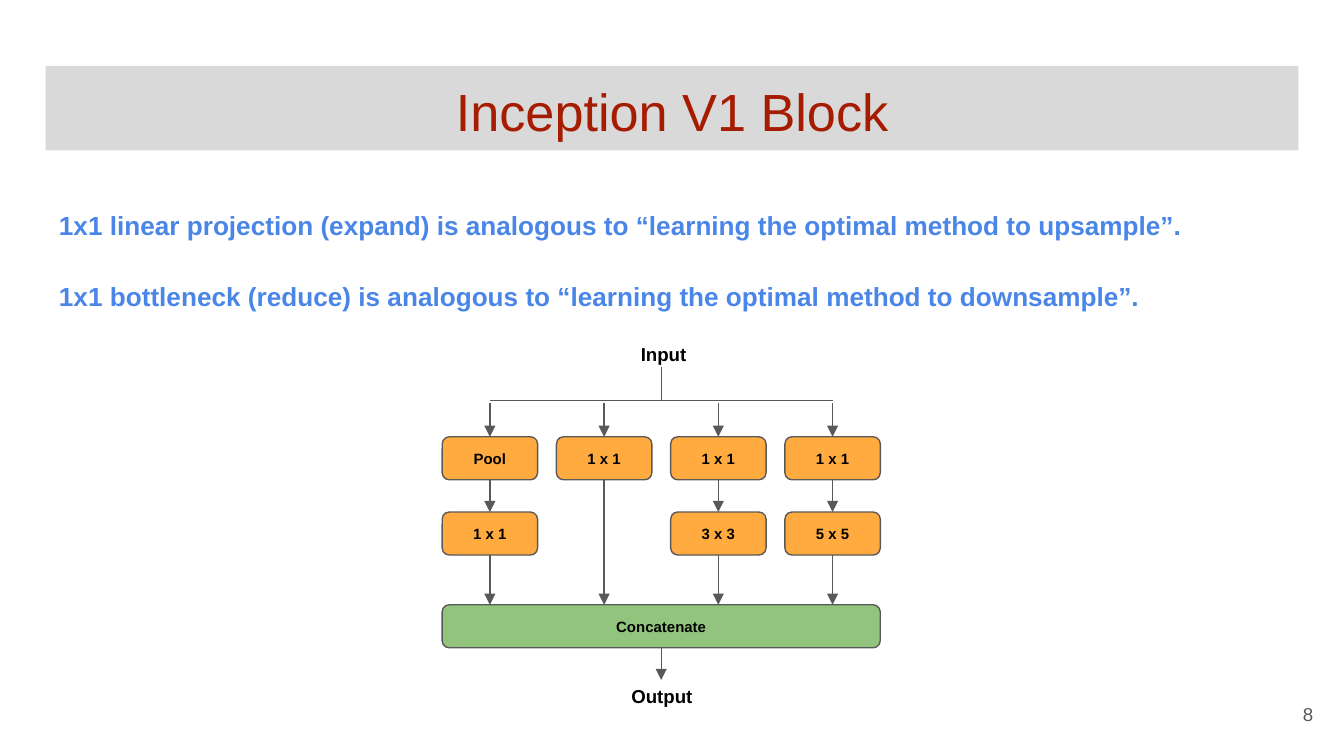
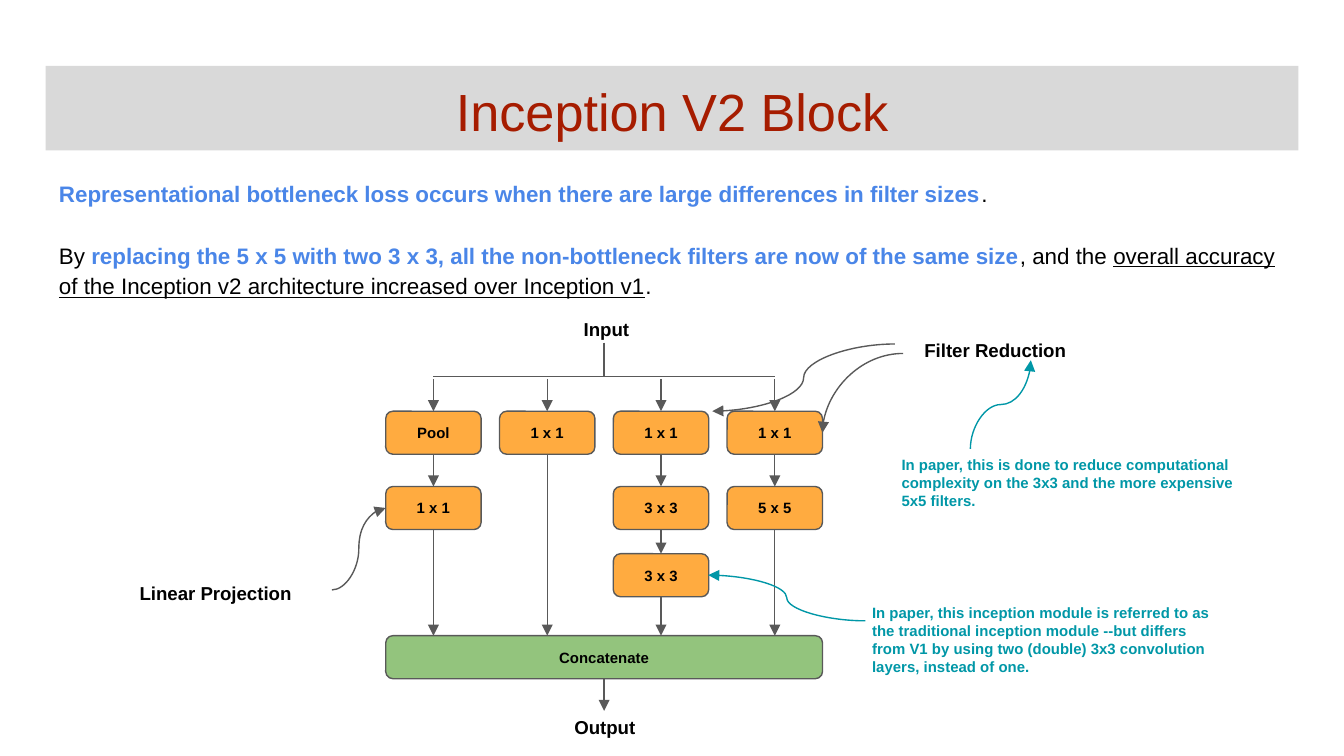
from dataclasses import dataclass
from typing import NamedTuple, Optional

from lxml import etree
from pptx import Presentation
from pptx import util as u
from pptx.dml.color import RGBColor
from pptx.enum import shapes, text
from pptx.oxml import ns

# Shared style
COLORS = {
    "band": "D9D9D9",
    "title": "A61C00",
    "emphasis": "4A86E8",
    "text": "000000",
    "gray": "595959",
    "filter": "FFAB40",
    "concatenate": "93C47D",
    "note": "0097A7",
}
FONT = "Arial"
SLIDE_WIDTH = 10
LINE_WIDTH = u.Pt(0.75)
CELL_WIDTH, CELL_HEIGHT = 0.71, 0.32
TOP, BOTTOM = 0, 2  # connection sites
ALIGN = text.PP_ALIGN
ANCHOR = text.MSO_ANCHOR


class Run(NamedTuple):
    text: str
    color: str = "text"
    bold: bool = False
    underline: bool = False


class Label(NamedTuple):
    text: str
    left: float
    top: float
    width: float
    height: float
    size: float = 10
    color: str = "text"
    inset_top: float = 0.11


class Curve(NamedTuple):
    start: tuple[float, float]
    end: tuple[float, float]
    color: str = "gray"
    vertical: bool = False
    quarter: bool = False


@dataclass
class Block:
    """Parallel filter columns between an input and a concatenation."""
    left: float
    width: float
    input_top: float
    row_tops: list[float]
    concatenate_top: float
    columns: list[list[str]]

    @property
    def center(self) -> float:
        return self.left + self.width / 2

    def column_left(self, index: int) -> float:
        pitch = (self.width - CELL_WIDTH) / (len(self.columns) - 1)
        return self.left + index * pitch


def rgb(name: str) -> RGBColor:
    return RGBColor.from_string(COLORS[name])


def write_text(shape, content, *, size: float, color: str = "text",
               bold: bool = False, align=ALIGN.LEFT, anchor=ANCHOR.TOP,
               line_spacing: float = 1.0, gap: float = 0,
               inset_top: float = 0.1) -> None:
    """Fill a shape with a string or with paragraphs made of runs."""
    frame = shape.text_frame
    frame.word_wrap = True
    frame.vertical_anchor = anchor
    frame.margin_left = frame.margin_right = u.Inches(0.1)
    frame.margin_top = u.Inches(inset_top)
    frame.margin_bottom = u.Inches(0.1)
    if isinstance(content, str):
        content = [[Run(content, color, bold)]]
    for index, runs in enumerate(content):
        paragraph = frame.add_paragraph() if index else frame.paragraphs[0]
        paragraph.alignment = align
        paragraph.line_spacing = line_spacing
        if index:
            paragraph.space_before = u.Pt(gap)
        for item in runs:
            run = paragraph.add_run()
            run.text = item.text
            run.font.name = FONT
            run.font.size = u.Pt(size)
            run.font.bold = item.bold
            run.font.underline = item.underline
            run.font.color.rgb = rgb(item.color)


def add_text(slide, content, left: float, top: float, width: float,
             height: float, **style):
    box = slide.shapes.add_textbox(u.Inches(left), u.Inches(top),
                                   u.Inches(width), u.Inches(height))
    write_text(box, content, **style)
    return box


def add_box(slide, kind, left: float, top: float, width: float,
            height: float, fill: str, outline: Optional[str] = None):
    shape = slide.shapes.add_shape(kind, u.Inches(left), u.Inches(top),
                                   u.Inches(width), u.Inches(height))
    shape.shadow.inherit = False
    shape.fill.solid()
    shape.fill.fore_color.rgb = rgb(fill)
    if outline:
        shape.line.color.rgb = rgb(outline)
        shape.line.width = LINE_WIDTH
    else:
        shape.line.fill.background()
    return shape


def add_cell(slide, label: str, left: float, top: float,
             width: float = CELL_WIDTH, fill: str = "filter"):
    cell = add_box(slide, shapes.MSO_SHAPE.ROUNDED_RECTANGLE, left, top,
                   width, CELL_HEIGHT, fill, "gray")
    cell.adjustments[0] = 0.167
    write_text(cell, label, size=8, bold=True, align=ALIGN.CENTER,
               anchor=ANCHOR.MIDDLE)
    return cell


def add_line(slide, start: tuple[float, float], end: tuple[float, float], *,
             color: str = "gray", arrow: bool = True, source=None,
             target=None, kind=shapes.MSO_CONNECTOR.STRAIGHT):
    line = slide.shapes.add_connector(
        kind, *(u.Inches(value) for value in (*start, *end)))
    line.line.color.rgb = rgb(color)
    line.line.width = LINE_WIDTH
    if arrow:
        etree.SubElement(line.line._get_or_add_ln(), ns.qn("a:tailEnd"),
                         type="triangle")
    etree.SubElement(line._element.spPr, ns.qn("a:effectLst"))
    if source is not None:
        line.begin_connect(source, BOTTOM)
    if target is not None:
        line.end_connect(target, TOP)
    return line


def add_curve(slide, curve: Curve) -> None:
    start, end = curve.start, curve.end
    if curve.vertical:
        # Lay the curve flat around its center, then turn it upright
        x, y = (start[0] + end[0]) / 2, (start[1] + end[1]) / 2
        half_width = abs(end[1] - start[1]) / 2
        half_height = abs(end[0] - start[0]) / 2
        start = (x - half_width, y - half_height)
        end = (x + half_width, y + half_height)
    line = add_line(slide, start, end, color=curve.color,
                    kind=shapes.MSO_CONNECTOR.CURVE)
    properties = line._element.spPr
    if curve.vertical:
        properties.find(ns.qn("a:xfrm")).set("rot", str(270 * 60000))
    if curve.quarter:
        properties.find(ns.qn("a:prstGeom")).set("prst", "curvedConnector2")


def add_label(slide, label: Label) -> None:
    add_text(slide, label.text, label.left, label.top, label.width,
             label.height, size=label.size, color=label.color, bold=True,
             inset_top=label.inset_top)


def draw_title(slide, title: str) -> None:
    band = add_box(slide, shapes.MSO_SHAPE.RECTANGLE, 0.34, 0.49, 9.32, 0.63,
                   "band")
    write_text(band, title, size=28, color="title", align=ALIGN.CENTER)


def draw_block(slide, block: Block) -> None:
    bus = block.input_top + 0.52
    bottom = block.concatenate_top + CELL_HEIGHT
    half_cell = CELL_WIDTH / 2

    # Input, stem and bus
    add_label(slide, Label("Input", block.center - 0.25, block.input_top,
                           0.8, 0.26))
    add_line(slide, (block.center, block.input_top + 0.27),
             (block.center, bus), arrow=False)
    add_line(slide, (block.left + half_cell, bus),
             (block.left + block.width - half_cell, bus), arrow=False)

    # Filter columns, each flowing down to the concatenation
    concatenate = add_cell(slide, "Concatenate", block.left,
                           block.concatenate_top, block.width, "concatenate")
    for index, names in enumerate(block.columns):
        left = block.column_left(index)
        x = left + half_cell
        previous, y = None, bus + 0.02
        for name, top in zip(names, block.row_tops):
            cell = add_cell(slide, name, left, top)
            add_line(slide, (x, y), (x, top), source=previous, target=cell)
            previous, y = cell, top + CELL_HEIGHT
        add_line(slide, (x, y), (x, block.concatenate_top), source=previous)

    # Output
    add_line(slide, (block.center, bottom), (block.center, bottom + 0.24),
             source=concatenate)
    add_label(slide, Label("Output", block.center - 0.32,
                           block.concatenate_top + 0.51, 0.8, 0.26))


def build_v1(slide) -> None:
    draw_title(slide, "Inception V1 Block")
    add_text(slide, "8", 9.27, 5.1, 0.6, 0.43, size=10, color="gray",
             align=ALIGN.RIGHT, anchor=ANCHOR.MIDDLE)
    statements = [
        "1x1 linear projection (expand) is analogous to “learning the optimal method to upsample”.",
        "1x1 bottleneck (reduce) is analogous to “learning the optimal method to downsample”.",
    ]
    add_text(slide, [[Run(item, "emphasis", True)] for item in statements],
             0.34, 1.42, 9.32, 1.1, size=14, line_spacing=1.15, gap=19)
    draw_block(slide, Block(
        3.29, 3.26, 2.46, [3.25, 3.81], 4.5,
        [["Pool", "1 x 1"], ["1 x 1"], ["1 x 1", "3 x 3"],
         ["1 x 1", "5 x 5"]]))


def build_v2(slide) -> None:
    draw_title(slide, "Inception V2 Block")
    add_text(slide, [
        [Run("Representational bottleneck loss occurs when there are large differences in filter sizes",
             "emphasis", True), Run(".")],
        [Run("By "),
         Run("replacing the 5 x 5 with two 3 x 3, all the non-bottleneck filters are now of the same size",
             "emphasis", True),
         Run(", and the "),
         Run("overall accuracy of the Inception v2 architecture increased over Inception v1",
             underline=True),
         Run(".")],
    ], 0.34, 1.21, 9.32, 1.17, size=12, line_spacing=1.15, gap=16.5)
    draw_block(slide, Block(
        2.87, 3.25, 2.28, [3.06, 3.62, 4.12], 4.73,
        [["Pool", "1 x 1"], ["1 x 1"], ["1 x 1", "3 x 3", "3 x 3"],
         ["1 x 1", "5 x 5"]]))

    # Annotations
    for label in (
        Label("Linear Projection", 0.94, 4.24, 1.53, 0.31),
        Label("Filter Reduction", 6.78, 2.43, 1.33, 0.31),
        Label("In paper, this is done to reduce computational complexity on the 3x3 and the more expensive 5x5 filters.",
              6.61, 3.29, 2.67, 0.62, 8, "note", 0.1),
        Label("In paper, this inception module is referred to as the traditional inception module --but differs from V1 by using two (double) 3x3 convolution layers, instead of one.",
              6.39, 4.39, 2.81, 0.59, 8, "note", 0.1),
    ):
        add_label(slide, label)
    for curve in (
        Curve((2.47, 4.39), (2.87, 3.78)),
        Curve((6.72, 2.63), (6.12, 3.22), quarter=True),
        Curve((6.66, 2.56), (5.3, 3.06)),
        Curve((7.22, 3.34), (7.67, 2.68), "note", vertical=True),
        Curve((6.44, 4.62), (5.27, 4.28), "note"),
    ):
        add_curve(slide, curve)


def main() -> None:
    presentation = Presentation()
    presentation.slide_width = u.Inches(SLIDE_WIDTH)
    presentation.slide_height = u.Inches(SLIDE_WIDTH * 9 / 16)
    blank = presentation.slide_layouts[6]
    for build in (build_v1, build_v2):
        build(presentation.slides.add_slide(blank))
    presentation.save("out.pptx")


if __name__ == "__main__":
    main()
